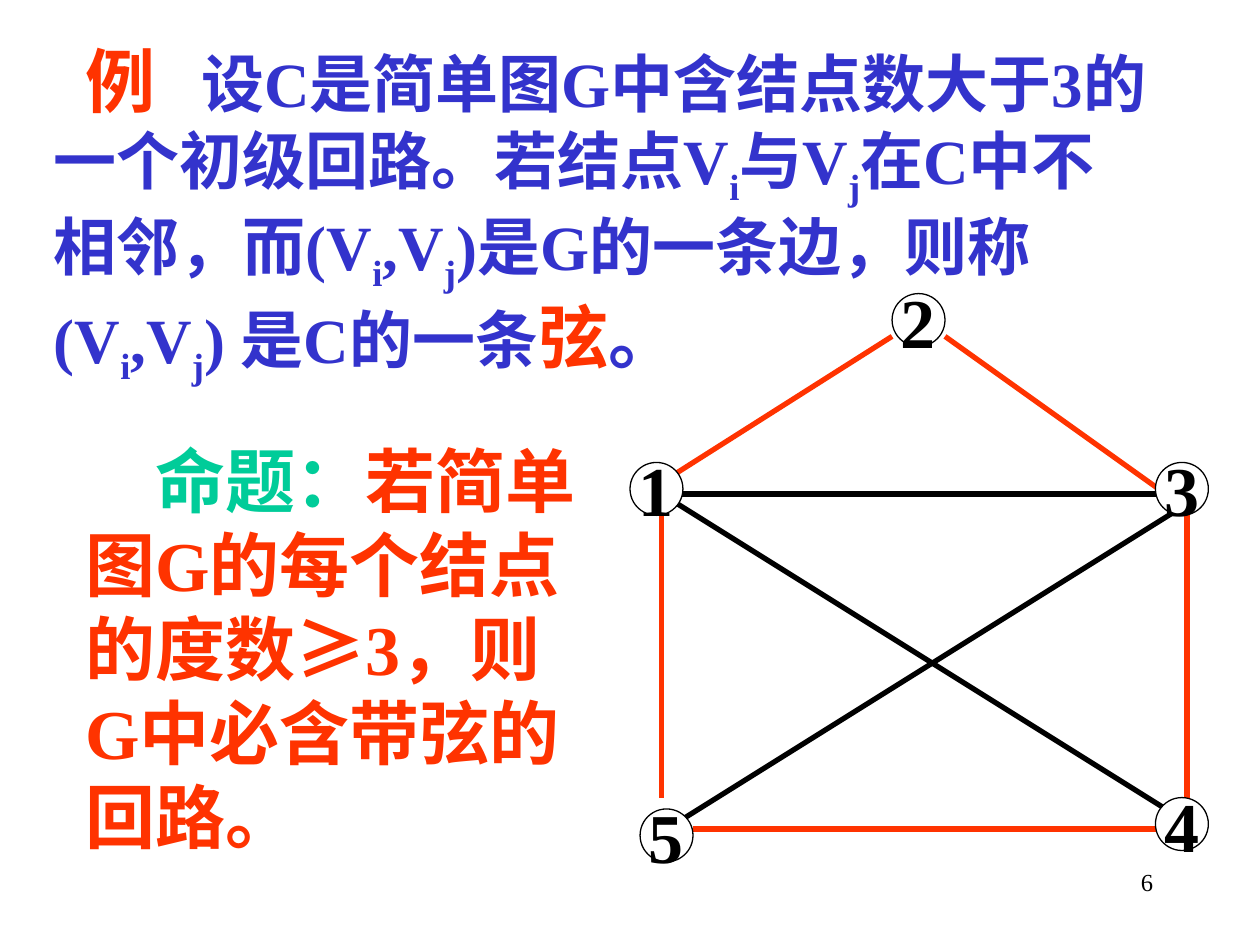
from pptx import Presentation
from pptx import util as u
from pptx.dml.color import RGBColor
from pptx.enum import shapes, text
from pptx.oxml.ns import qn
from lxml import etree

RED = RGBColor(0xFF, 0x33, 0x00)
BLUE = RGBColor(0x33, 0x33, 0xCC)
GREEN = RGBColor(0x00, 0xCC, 0x99)
BLACK = RGBColor(0, 0, 0)
WHITE = RGBColor(0xFF, 0xFF, 0xFF)
SERIF = "Times New Roman"
NODE_SIZE = 0.42
LABEL_GAP = u.Pt(18)

DEFINITION = [
    ("例", RED, 40),
    (" ", RED, 36),
    ("设C是简单图G中含结点数大于3的一个初级回路。若结点V_i_与V_j_"
     "在C中不相邻，而(V_i_,V_j_)是G的一条边，则称(V_i_,V_j_) 是C的一条", BLUE, 36),
    ("弦", RED, 40),
    ("。", BLUE, 40),
]
PROPOSITION = [
    ("命题：", GREEN, SERIF),
    ("若简单图G的每个结点的度数", RED, SERIF),
    ("≥", RED, "Arial"),
    ("3，则G中必含带弦的回路。", RED, SERIF),
]
EDGES = [
    ((5.25, 3.83), (7.08, 2.67), RED),
    ((7.5, 2.67), (9.25, 3.92), RED),
    ((9.42, 4), (9.42, 6.33), RED),
    ((9.25, 6.58), (5.5, 6.58), RED),
    ((5.25, 4), (5.25, 6.33), RED),
    ((5.33, 3.92), (9.42, 3.92), BLACK),
    ((5.25, 3.92), (9.25, 6.42), BLACK),
    ((9.42, 4), (5.42, 6.5), BLACK),
]
NODES = [("2", 7.08, 2.33), ("1", 5, 3.67), ("3", 9.17, 3.67),
         ("4", 9.17, 6.33), ("5", 5.08, 6.42)]


def add_paragraph_box(slide, left, top, width, height, indent=0):
    box = slide.shapes.add_textbox(*map(u.Inches, (left, top, width, height)))
    box.text_frame.word_wrap = True
    paragraph = box.text_frame.paragraphs[0]
    if indent:
        properties = paragraph._p.get_or_add_pPr()
        properties.set("marL", "0")
        properties.set("indent", str(u.Inches(indent)))
    return paragraph


def add_run(paragraph, content, color):
    run = paragraph.add_run()
    run.text = content
    run.font.color.rgb = color
    return run


def add_definition(slide):
    paragraph = add_paragraph_box(slide, 0.33, 0.25, 8.92, 2.92, indent=0.25)
    paragraph.font.name = SERIF
    paragraph.font.bold = True
    for content, color, size in DEFINITION:
        for index, part in enumerate(content.split("_")):
            run = add_run(paragraph, part, color)
            run.font.size = u.Pt(size)
            if index % 2:
                run._r.get_or_add_rPr().set("baseline", "-25000")
            if part == " ":
                run._r.get_or_add_rPr().set("spc", str(LABEL_GAP.centipoints))


def add_proposition(slide):
    paragraph = add_paragraph_box(slide, 0.58, 3.42, 4.17, 3.44, indent=0.56)
    paragraph.font.size = u.Pt(40)
    paragraph.font.bold = True
    for content, color, font_name in PROPOSITION:
        add_run(paragraph, content, color).font.name = font_name


def add_edge(slide, start, end, color):
    edge = slide.shapes.add_connector(
        shapes.MSO_CONNECTOR.STRAIGHT, *map(u.Inches, start + end))
    edge.line.color.rgb = color
    edge.line.width = u.Pt(3)
    etree.SubElement(edge._element.spPr, qn("a:effectLst"))


def add_node(slide, label, left, top):
    node = slide.shapes.add_shape(
        shapes.MSO_SHAPE.OVAL, *map(u.Inches, (left, top, NODE_SIZE, NODE_SIZE)))
    node.shadow.inherit = False
    node.fill.solid()
    node.fill.fore_color.rgb = WHITE
    node.line.color.rgb = BLACK
    node.line.width = u.Pt(0.75)
    frame = node.text_frame
    frame.word_wrap = False
    frame.vertical_anchor = text.MSO_ANCHOR.MIDDLE
    paragraph = frame.paragraphs[0]
    paragraph.text = label
    paragraph.alignment = text.PP_ALIGN.CENTER
    paragraph.font.name = SERIF
    paragraph.font.size = u.Pt(40)
    paragraph.font.bold = True
    paragraph.font.color.rgb = BLACK


def add_page_number(slide):
    paragraph = add_paragraph_box(slide, 7.17, 6.83, 2.08, 0.5)
    paragraph.text = "6"
    paragraph.alignment = text.PP_ALIGN.RIGHT
    paragraph.font.name = SERIF
    paragraph.font.size = u.Pt(14)
    paragraph.font.color.rgb = BLACK


def main():
    presentation = Presentation()
    presentation.slide_width = u.Inches(10)
    presentation.slide_height = u.Inches(7.5)
    slide = presentation.slides.add_slide(presentation.slide_layouts[6])
    add_definition(slide)
    add_proposition(slide)
    for edge in EDGES:
        add_edge(slide, *edge)
    for node in NODES:
        add_node(slide, *node)
    add_page_number(slide)
    presentation.save("out.pptx")


if __name__ == "__main__":
    main()
